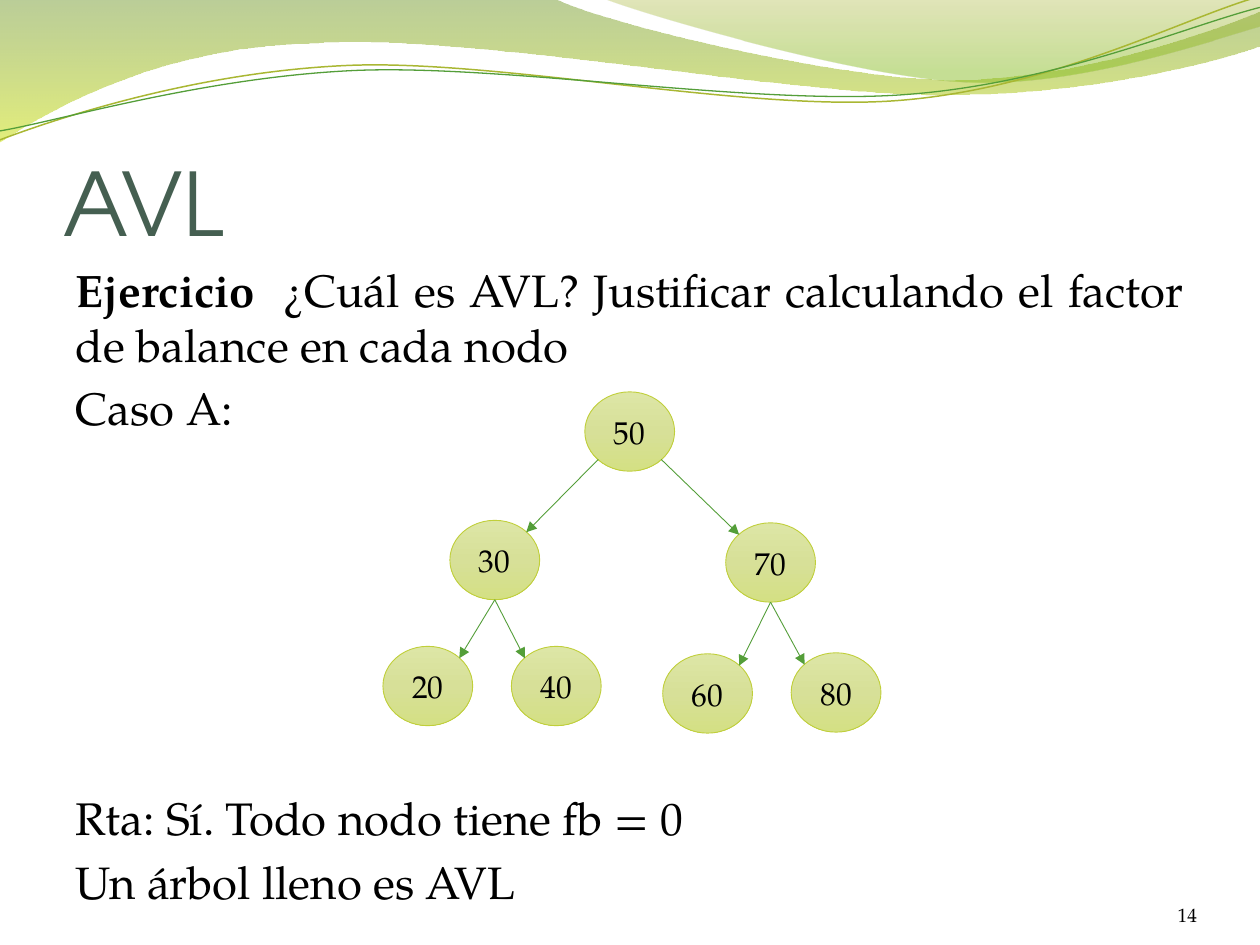
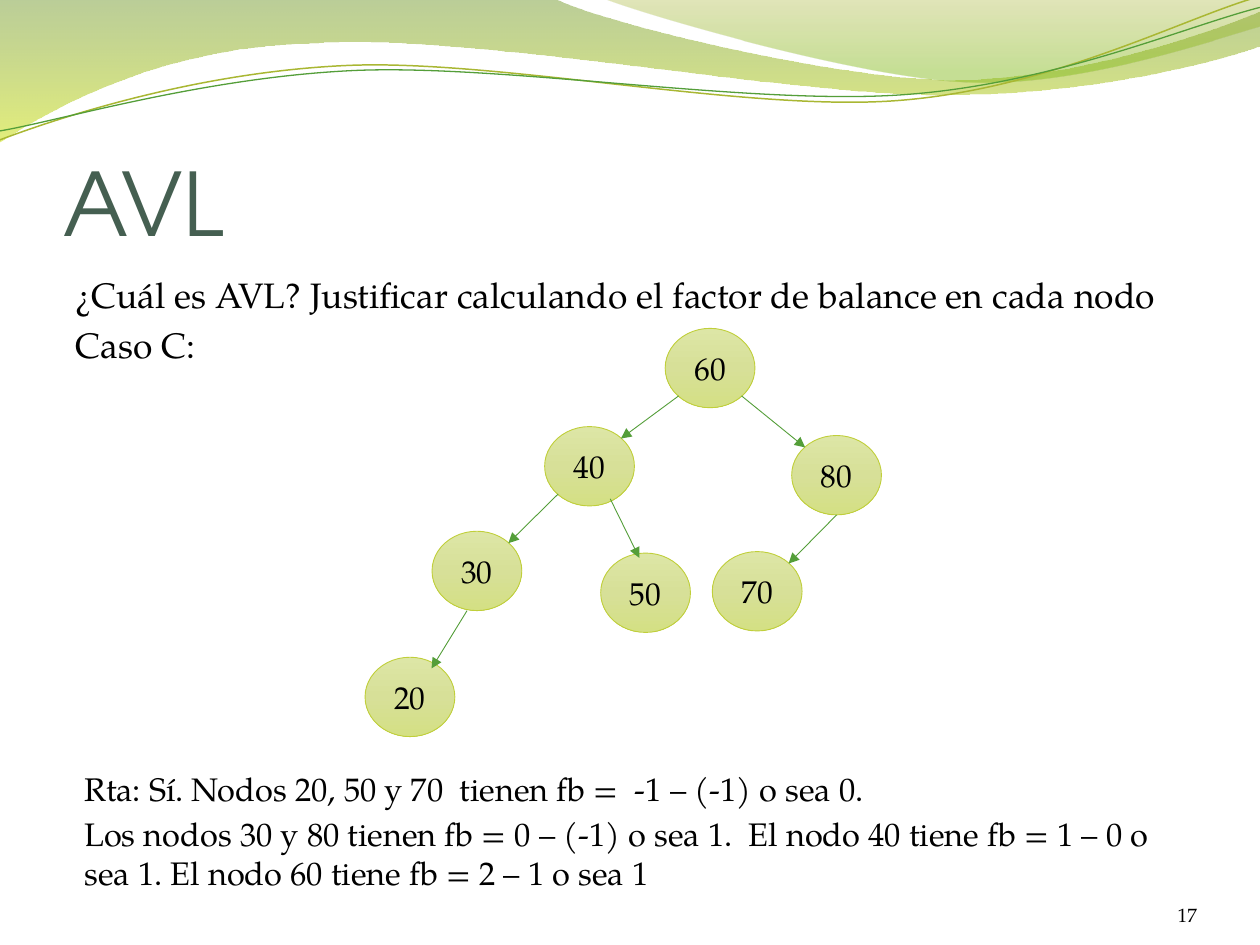
from lxml import etree
from pptx import Presentation
from pptx.dml.color import RGBColor
from pptx.enum.shapes import MSO_CONNECTOR, MSO_SHAPE
from pptx.enum.text import MSO_ANCHOR, MSO_AUTO_SIZE, PP_ALIGN
from pptx.oxml.ns import qn
from pptx.util import Cm, Pt

ELLIPSE = MSO_SHAPE.OVAL
STRAIGHT = MSO_CONNECTOR.STRAIGHT
LEFT, CENTER, RIGHT, JUSTIFY = PP_ALIGN.LEFT, PP_ALIGN.CENTER, PP_ALIGN.RIGHT, PP_ALIGN.JUSTIFY
TOP, MIDDLE, BOTTOM = MSO_ANCHOR.TOP, MSO_ANCHOR.MIDDLE, MSO_ANCHOR.BOTTOM
NO_AUTOFIT = MSO_AUTO_SIZE.NONE

COLORS = {
    "text": "000000",
    "title": "455F51",
    "edge": "549E39",
    "node_line": "C0CF3A",
    "olive_line": "A9B733",
    "node_top": "DDE6A6",
    "node_middle": "D7E098",
    "node_bottom": "D4E084",
    "band_top": "69921C",
    "band_bottom": "CCE10F",
    "corner_top": "9BAA1A",
    "corner_bottom": "81BA16",
}
TITLE_FONT = "TeX Gyre Adventor"
TEXT_FONT = "TeX Gyre Pagella"

TITLE_BOX = (1.27, 1.94, 22.86, 3.18)
NUMBER_BOX = (22.02, 17.65, 2.11, 1.02)
NODE_WIDTH, NODE_HEIGHT = 1.81, 1.6
NODE_STOPS = [(0, "node_top", 100), (50, "node_middle", 100), (100, "node_bottom", 100)]

NODE_BOTTOM = (0.5, 1)
UPPER_LEFT, UPPER_RIGHT = (0.15, 0.15), (0.85, 0.15)
LOWER_LEFT, LOWER_RIGHT = (0.15, 0.85), (0.85, 0.85)

WAVES = [
    {"start": (0, 0),
     "segments": [[(11.18, -0.03)],
                  [(12.07, 0.43), (16.84, 1.6), (19.25, 1.6)],
                  [(21.67, 1.6), (24.33, 0.66), (25.4, 0.23)],
                  [(25.43, 0.91)],
                  [(24.97, 1.12), (22.07, 1.93), (18.95, 1.91)],
                  [(15.8, 1.91), (9.68, 0.71), (6.53, 0.86)],
                  [(3.28, 0.91), (1.17, 2.11), (-0.03, 2.87)]],
     "stops": [(0, "band_top", 45), (100, "band_bottom", 55)]},
    {"start": (12.17, -0.03),
     "segments": [[(12.93, 0.28), (17.32, 1.57), (19.51, 1.65)],
                  [(21.72, 1.75), (24.41, 0.81), (25.4, 0.53)],
                  [(25.4, 0)]],
     "stops": [(0, "corner_top", 30), (80, "corner_bottom", 45)]},
    {"start": (0, 2.82),
     "segments": [[(1.22, 2.36), (3.99, 1.45), (7.01, 1.32)],
                  [(10.03, 1.19), (15.04, 2.26), (18.08, 2.03)],
                  [(21.16, 1.8), (23.83, 0.38), (25.32, -0.05)]],
     "line": ("olive_line", 0.85)},
    {"start": (0, 2.64),
     "segments": [[(1.19, 2.44), (4.14, 1.55), (7.19, 1.42)],
                  [(10.21, 1.3), (15.16, 2.13), (18.21, 1.91)],
                  [(21.23, 1.7), (23.9, 0.53), (25.4, 0.15)]],
     "line": ("edge", 0.75)},
]

SLIDES = [
    {"number": "14",
     "question_box": (1.27, 5.16, 22.86, 3.76),
     "question_size": 26,
     "question": [([("Ejercicio  ", True),
                    ("¿Cuál es AVL? Justificar calculando el factor de balance en cada nodo", False)],
                   JUSTIFY),
                  ([("Caso A:", False)], LEFT)],
     "tree_origin": (7.72, 7.9),
     "nodes": {50: (4.07, 0), 30: (1.35, 2.59), 70: (6.91, 2.64),
               20: (0, 5.13), 40: (2.59, 5.13), 60: (5.64, 5.28), 80: (8.23, 5.26)},
     "edges": [(50, LOWER_LEFT, 30, UPPER_RIGHT), (50, LOWER_RIGHT, 70, UPPER_LEFT),
               (30, NODE_BOTTOM, 20, UPPER_RIGHT), (30, NODE_BOTTOM, 40, UPPER_LEFT),
               (70, NODE_BOTTOM, 60, UPPER_RIGHT), (70, NODE_BOTTOM, 80, UPPER_LEFT)],
     "answer_box": (1.27, 15.8, 22.86, 2.82),
     "answer_size": 26,
     "answer": [([("Rta: Sí. Todo nodo tiene fb = 0", False)], LEFT),
                ([("Un árbol lleno es AVL", False)], LEFT)]},
    {"number": "17",
     "question_box": (1.27, 5.38, 22.86, 2.36),
     "question_size": 20.25,
     "question": [([("¿Cuál es AVL? Justificar calculando el factor de balance en cada nodo", False)], LEFT),
                  ([("Caso C:", False)], LEFT)],
     "tree_origin": (7.36, 6.62),
     "nodes": {60: (6.05, 0), 40: (3.62, 1.98), 80: (8.6, 2.16), 30: (1.35, 4.09),
               50: (4.75, 4.53), 70: (7, 4.5), 20: (0, 6.63)},
     "edges": [(60, LOWER_LEFT, 40, UPPER_RIGHT), (60, LOWER_RIGHT, 80, UPPER_LEFT),
               (40, LOWER_LEFT, 30, UPPER_RIGHT), (40, (0.73, 0.91), 50, (0.43, 0.06)),
               (80, NODE_BOTTOM, 70, UPPER_RIGHT), (30, (0.39, 1), 20, (0.74, 0.14))],
     "answer_box": (1.45, 15.37, 22.86, 2.46),
     "answer_size": 18.6,
     "answer": [([("Rta: Sí. Nodos 20, 50 y 70  tienen fb =  -1 – (-1) o sea 0.", False)], LEFT),
                ([("Los nodos 30 y 80 tienen fb = 0 – (-1) o sea 1.  El nodo 40 tiene fb = 1 – 0 o "
                   "sea 1. El nodo 60 tiene fb = 2 – 1 o sea 1", False)], LEFT)]},
]


def color(name):
    return RGBColor.from_string(COLORS[name])


def set_values(target, values):
    for name, value in values.items():
        setattr(target, name, value)


def place(shape, box):
    set_values(shape, dict(zip(("left", "top", "width", "height"), map(Cm, box))))


def set_gradient(shape, stops):
    shape.fill.gradient()
    shape.fill.gradient_angle = 270
    stop_list = shape.element.spPr.find(qn("a:gradFill")).find(qn("a:gsLst"))
    for old_stop in list(stop_list):
        stop_list.remove(old_stop)
    for position, name, opacity in stops:
        stop = etree.SubElement(stop_list, qn("a:gs"), pos=str(position * 1000))
        tint = etree.SubElement(stop, qn("a:srgbClr"), val=COLORS[name])
        if opacity < 100:
            etree.SubElement(tint, qn("a:alpha"), val=str(opacity * 1000))


def set_line(shape, name, width):
    shape.line.color.rgb = color(name)
    shape.line.width = Pt(width)


def write_text(shape, paragraphs, size, font=TEXT_FONT, ink="text", anchor=TOP, insets=None, spacing=0):
    frame = shape.text_frame
    set_values(frame, {"auto_size": NO_AUTOFIT, "word_wrap": True, "vertical_anchor": anchor})
    if insets:
        sides = ("margin_left", "margin_top", "margin_right", "margin_bottom")
        set_values(frame, dict(zip(sides, map(Cm, insets))))
    for index, (runs, alignment) in enumerate(paragraphs):
        paragraph = frame.add_paragraph() if index else frame.paragraphs[0]
        set_values(paragraph, {"alignment": alignment, "space_before": Pt(size * spacing)})
        for text, bold in runs:
            run = paragraph.add_run()
            run.text = text
            set_values(run.font, {"name": font, "size": Pt(size), "bold": bold})
            run.font.color.rgb = color(ink)


def remove_bullets(shape):
    for paragraph in shape.text_frame.paragraphs:
        properties = paragraph._p.get_or_add_pPr()
        for name in ("marL", "indent"):
            properties.set(name, "0")
        etree.SubElement(properties, qn("a:buNone"))


def bend_segments(shape, segments):
    lines = list(shape.element.iter(qn("a:lnTo")))
    for controls in segments:
        segment_lines, lines = lines[:len(controls)], lines[len(controls):]
        if len(controls) == 3:
            curve = etree.Element(qn("a:cubicBezTo"))
            segment_lines[0].addprevious(curve)
            for line in segment_lines:
                curve.append(line[0])
                line.getparent().remove(line)


def add_wave(slide, wave):
    points = [wave["start"]] + [point for controls in wave["segments"] for point in controls]
    vertices = [(Cm(x), Cm(y)) for x, y in points]
    builder = slide.shapes.build_freeform(*vertices[0], scale=1.0)
    builder.add_line_segments(vertices[1:], close=False)
    shape = builder.convert_to_shape()
    bend_segments(shape, wave["segments"])
    shape.shadow.inherit = False
    if "stops" in wave:
        etree.SubElement(next(shape.element.iter(qn("a:path"))), qn("a:close"))
        set_gradient(shape, wave["stops"])
        shape.line.fill.background()
    else:
        shape.fill.background()
        set_line(shape, *wave["line"])
    return shape


def add_waves_to_layout(layout, slide):
    for index, wave in enumerate(WAVES):
        shape = add_wave(slide, wave)
        shape.element.nvSpPr.cNvPr.set("id", str(101 + index))
        layout.shapes.element.insert(2 + index, shape.element)


def add_text_box(slide, box, paragraphs, size, **options):
    shape = slide.shapes.add_textbox(*map(Cm, box))
    write_text(shape, paragraphs, size, **options)


def add_node(slide, left, top, value):
    shape = slide.shapes.add_shape(ELLIPSE, *map(Cm, (left, top, NODE_WIDTH, NODE_HEIGHT)))
    shape.shadow.inherit = False
    set_gradient(shape, NODE_STOPS)
    set_line(shape, "node_line", 0.5)
    write_text(shape, [([(str(value), False)], CENTER)], 18, anchor=MIDDLE, insets=(0, 0.13, 0, 0.13))


def add_edge(slide, start, end):
    connector = slide.shapes.add_connector(STRAIGHT, *map(Cm, start + end))
    set_line(connector, "edge", 0.5)
    outline = connector.element.spPr.find(qn("a:ln"))
    etree.SubElement(outline, qn("a:tailEnd"), type="triangle")
    etree.SubElement(connector.element.spPr, qn("a:effectLst"))


def add_tree(slide, origin, nodes, edges):
    corners = {value: (origin[0] + x, origin[1] + y) for value, (x, y) in nodes.items()}

    def site(value, fraction):
        left, top = corners[value]
        return left + fraction[0] * NODE_WIDTH, top + fraction[1] * NODE_HEIGHT

    for value, corner in corners.items():
        add_node(slide, *corner, value)
    for parent, parent_site, child, child_site in edges:
        add_edge(slide, site(parent, parent_site), site(child, child_site))


def add_exercise_slide(slide, content):
    title, question = slide.shapes.title, slide.placeholders[1]
    place(title, TITLE_BOX)
    write_text(title, [([("AVL", False)], LEFT)], 50, font=TITLE_FONT, ink="title",
               anchor=BOTTOM, insets=(0, 0.13, 0, 0))
    place(question, content["question_box"])
    write_text(question, content["question"], content["question_size"], spacing=0.2)
    remove_bullets(question)
    add_text_box(slide, NUMBER_BOX, [([(content["number"], False)], RIGHT)], 11,
                 anchor=BOTTOM, insets=(0, 0, 0, 0))
    add_tree(slide, content["tree_origin"], content["nodes"], content["edges"])
    add_text_box(slide, content["answer_box"], content["answer"], content["answer_size"], spacing=0.2)


def main():
    presentation = Presentation()
    set_values(presentation, {"slide_width": Cm(25.4), "slide_height": Cm(19.05)})
    layout = presentation.slide_layouts[1]
    slides = [presentation.slides.add_slide(layout) for _ in SLIDES]
    add_waves_to_layout(layout, slides[0])
    for slide, content in zip(slides, SLIDES):
        add_exercise_slide(slide, content)
    presentation.save("out.pptx")


if __name__ == "__main__":
    main()
